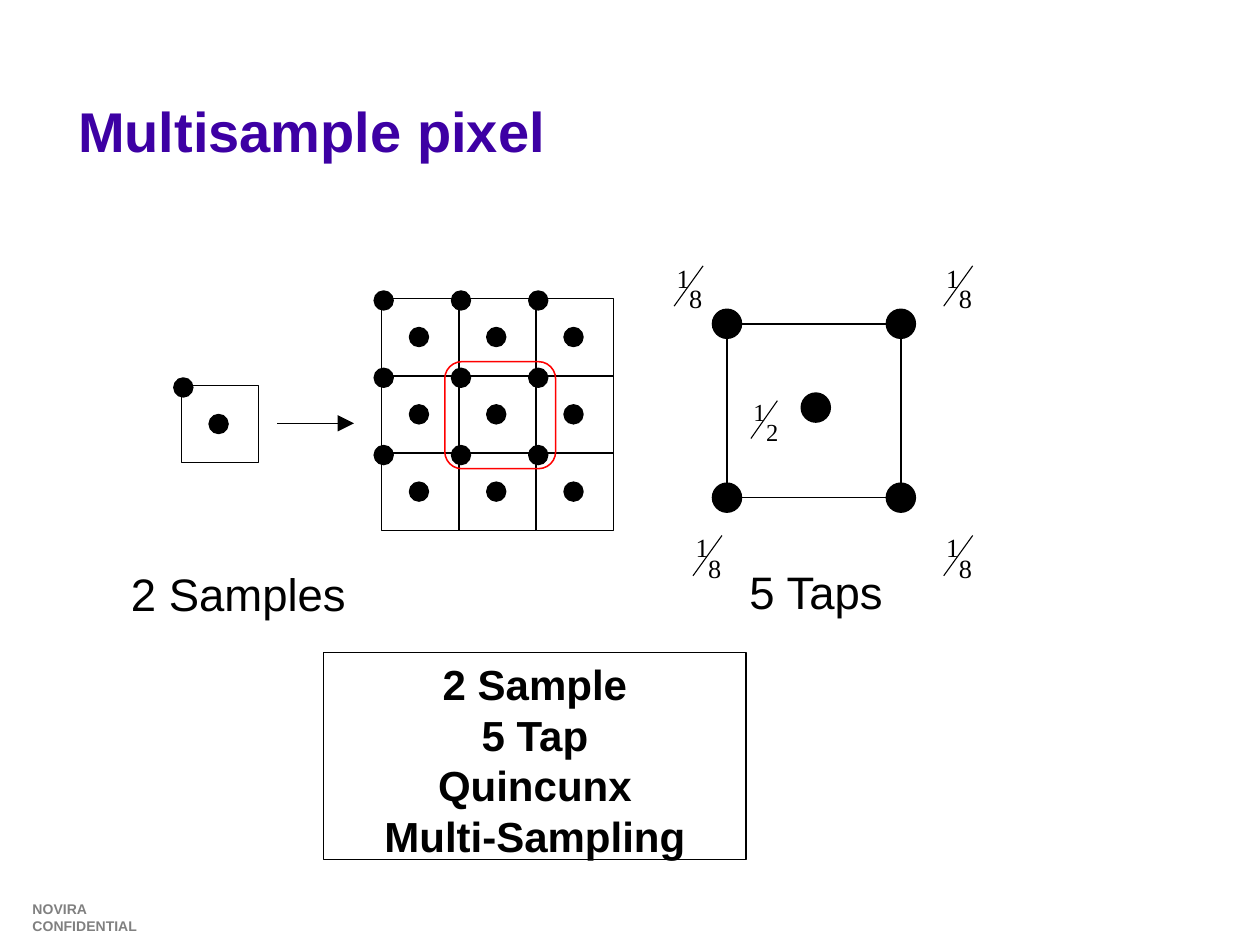
import dataclasses

import pptx
import pptx.dml.color
import pptx.enum.shapes
import pptx.enum.text
import pptx.oxml.ns
import pptx.util
from pptx.util import Inches

SHAPES = pptx.enum.shapes.MSO_SHAPE
ALIGN = pptx.enum.text.PP_ALIGN
ANCHOR = pptx.enum.text.MSO_ANCHOR


@dataclasses.dataclass(frozen=True)
class Theme:
    ink: str = "000000"
    paper: str = "FFFFFF"
    title: str = "3D00A4"
    footer: str = "808080"
    highlight: str = "FF0000"
    sans: str = "Arial"
    serif: str = "Times New Roman"
    title_size: int = 32
    caption_size: int = 26
    summary_size: int = 24
    footer_size: int = 8
    outline: float = 0.88
    thin: float = 0.75
    slash: float = 0.62


THEME = Theme()


def rgb(color):
    return pptx.dml.color.RGBColor.from_string(color)


def format_paragraph(paragraph, size, color=THEME.ink, bold=False, name=THEME.sans, align=ALIGN.LEFT):
    paragraph.alignment = align
    font = paragraph.font
    font.name = name
    font.size = pptx.util.Pt(size)
    font.bold = bold
    font.color.rgb = rgb(color)


def add_title(slide, text):
    title = slide.shapes.title
    title.left, title.top, title.width, title.height = map(Inches, (0.52, 0.71, 8.72, 0.64))
    title.text_frame.text = text
    title.text_frame.vertical_anchor = ANCHOR.BOTTOM
    format_paragraph(title.text_frame.paragraphs[0], THEME.title_size, THEME.title, bold=True)


def add_label(slide, text, left, top, width, height, size, inset=True, **style):
    box = slide.shapes.add_textbox(*map(Inches, (left, top, width, height)))
    frame = box.text_frame
    frame.word_wrap = False
    if not inset:
        frame.margin_left = frame.margin_right = frame.margin_top = frame.margin_bottom = 0
    frame.text = text
    format_paragraph(frame.paragraphs[0], size, **style)


def paint(shape, fill=None, line=None, weight=THEME.outline):
    shape.shadow.inherit = False
    if fill:
        shape.fill.solid()
        shape.fill.fore_color.rgb = rgb(fill)
    else:
        shape.fill.background()
    if line:
        shape.line.color.rgb = rgb(line)
        shape.line.width = pptx.util.Pt(weight)
    else:
        shape.line.fill.background()


def add_box(slide, kind, left, top, width, height, fill=None, line=THEME.ink, weight=THEME.outline):
    shape = slide.shapes.add_shape(kind, *map(Inches, (left, top, width, height)))
    paint(shape, fill, line, weight)
    return shape


def add_dot(slide, left, top, size):
    add_box(slide, SHAPES.OVAL, left, top, size, size, fill=THEME.ink)


def add_line(slide, start, end, weight=THEME.outline):
    line = slide.shapes.add_connector(
        pptx.enum.shapes.MSO_CONNECTOR.STRAIGHT, *map(Inches, (*start, *end))
    )
    line.line.color.rgb = rgb(THEME.ink)
    line.line.width = pptx.util.Pt(weight)
    properties = line._element.spPr
    properties.append(properties.makeelement(pptx.oxml.ns.qn("a:effectLst"), {}))


def add_arrow(slide, left, middle, right, head=0.13):
    neck = right - head
    add_line(slide, (left, middle), (neck, middle))
    builder = slide.shapes.build_freeform(Inches(neck), Inches(middle + head / 2))
    builder.add_line_segments(
        [(Inches(right), Inches(middle)), (Inches(neck), Inches(middle - head / 2))], close=True
    )
    paint(builder.convert_to_shape(), fill=THEME.ink)


def add_pixel(slide, left, top, size):
    add_box(slide, SHAPES.RECTANGLE, left, top, size, size, fill=THEME.paper)
    add_dot(slide, left + 0.22, top + 0.23, 0.15)
    add_dot(slide, left - 0.06, top - 0.06, 0.15)


def add_pixel_grid(slide, left, top, size, count=3):
    for row in range(count):
        for column in range(count):
            add_pixel(slide, left + column * size, top + row * size, size)


def add_fraction(slide, denominator, left, top, width, height, size):
    add_line(slide, (left + width, top), (left, top + height), THEME.slash)
    for digit, x, y in ((denominator, 0.12, 0.13), ("1", 0.02, -0.03)):
        add_label(slide, digit, left + x, top + y, 0.11, 0.25, size, inset=False, name=THEME.serif)


def add_tap_square(slide, left, top, size, dot=0.23):
    for x in (left, left + size):
        for y in (top, top + size):
            add_dot(slide, x - dot / 2, y - dot / 2, dot)
    add_dot(slide, 6.36, 3.12, dot)
    add_box(slide, SHAPES.RECTANGLE, left, top, size, size)
    add_fraction(slide, "2", 5.96, 3.18, 0.21, 0.3, 14)
    for x, y in ((5.35, 2.11), (7.49, 2.11), (5.5, 4.25), (7.49, 4.25)):
        add_fraction(slide, "8", x, y, 0.23, 0.32, 15)


def add_summary(slide, lines):
    box = add_box(slide, SHAPES.RECTANGLE, 2.57, 5.18, 3.35, 1.64, weight=THEME.thin)
    frame = box.text_frame
    frame.word_wrap = True
    frame.vertical_anchor = ANCHOR.TOP
    frame.text = "\n".join(lines)
    for paragraph in frame.paragraphs:
        format_paragraph(paragraph, THEME.summary_size, bold=True, align=ALIGN.CENTER)


def main():
    presentation = pptx.Presentation()
    presentation.slide_width = Inches(10)
    presentation.slide_height = Inches(7.5)
    slide = presentation.slides.add_slide(presentation.slide_layouts[5])

    add_title(slide, "Multisample pixel")
    add_label(slide, "NOVIRA CONFIDENTIAL", 0.16, 7.1, 1.44, 0.24,
              THEME.footer_size, color=THEME.footer, bold=True)
    add_summary(slide, ["2 Sample", "5 Tap", "Quincunx", "Multi-Sampling"])
    add_label(slide, "2 Samples", 0.94, 4.44, 1.91, 0.54, THEME.caption_size)
    add_label(slide, "5 Taps", 5.85, 4.43, 1.3, 0.54, THEME.caption_size)

    pixel_size = 1.84 / 3
    add_pixel(slide, 1.44, 3.06, pixel_size)
    add_pixel_grid(slide, 3.03, 2.37, pixel_size)
    add_arrow(slide, 2.2, 3.36, 2.81)
    highlight = add_box(slide, SHAPES.ROUNDED_RECTANGLE, 3.53, 2.87, 0.88, 0.85,
                        line=THEME.highlight)
    highlight.adjustments[0] = 0.16
    add_tap_square(slide, 5.77, 2.57, 1.38)

    presentation.save("out.pptx")


if __name__ == "__main__":
    main()
